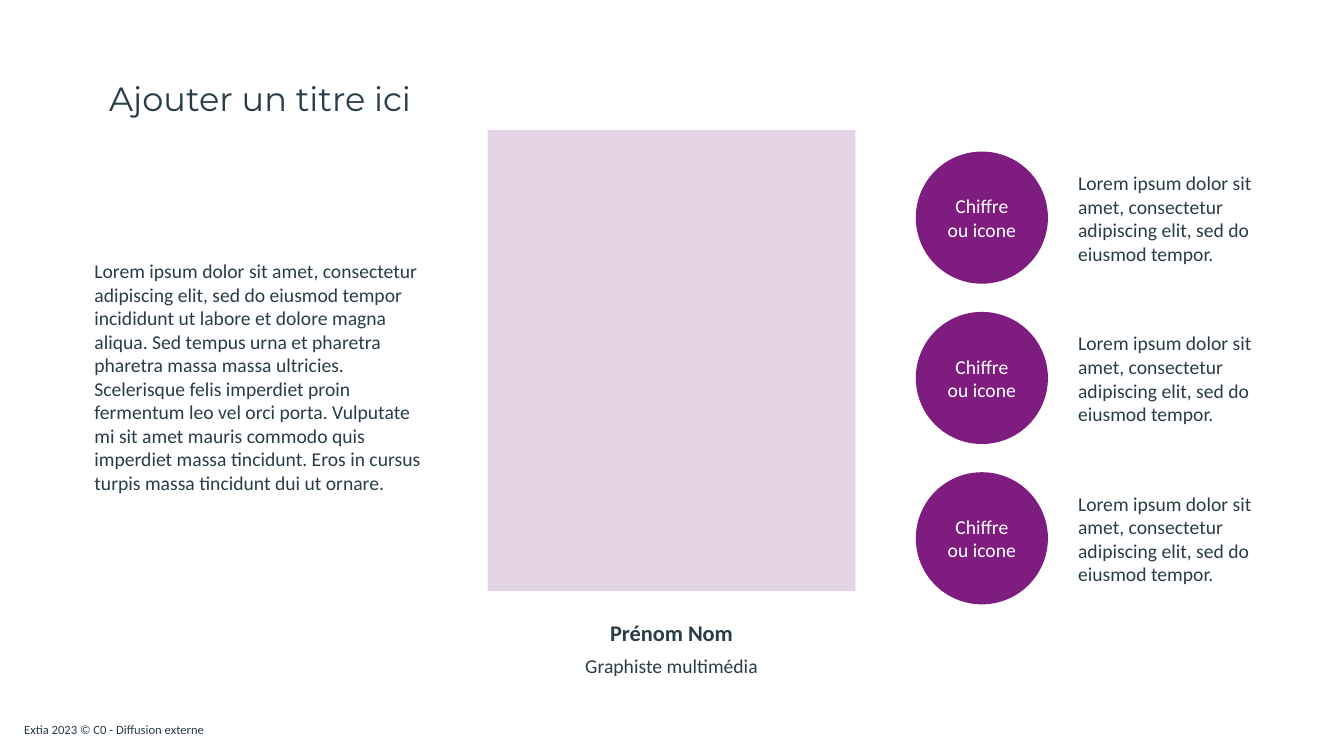
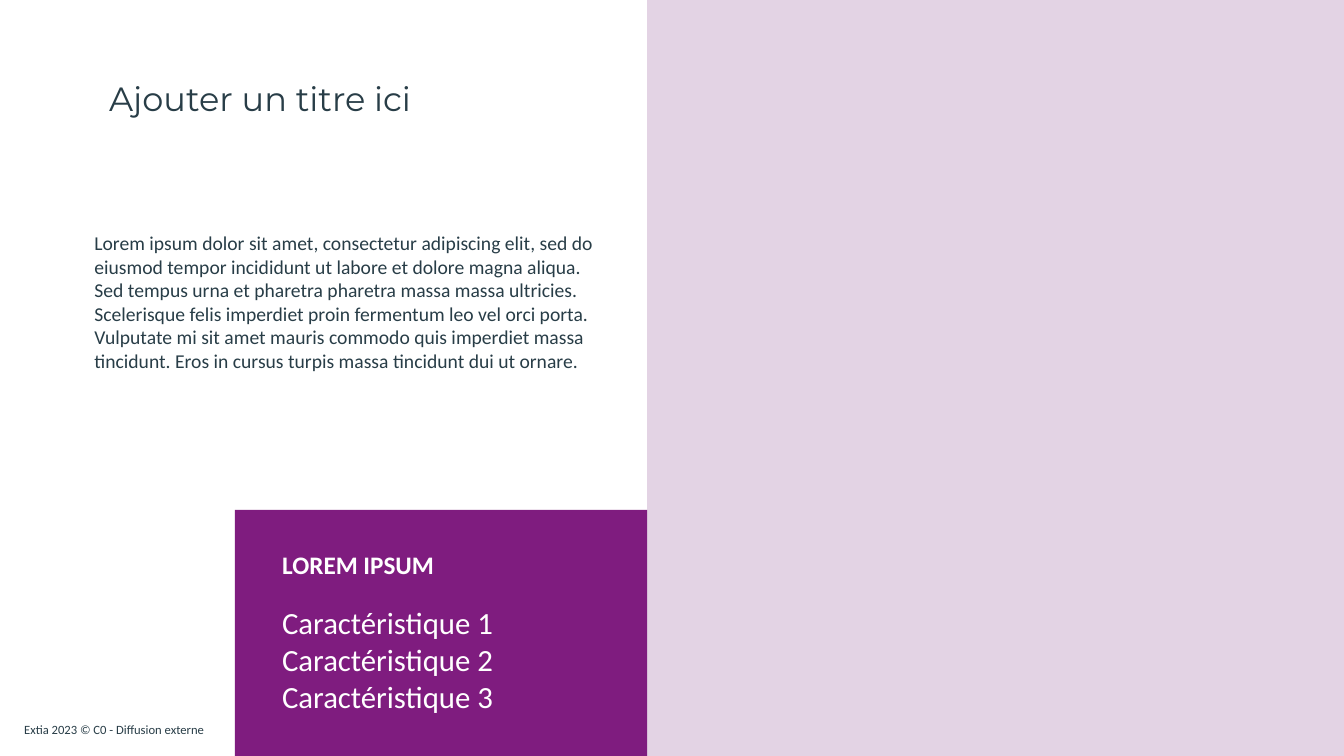
from pptx import Presentation
from pptx.dml.color import RGBColor
from pptx.enum.shapes import MSO_SHAPE as Preset
from pptx.enum.text import MSO_ANCHOR as Anchor, MSO_AUTO_SIZE as AutoSize, PP_ALIGN as Align
from pptx.util import Cm, Pt

COLORS = {"ink": "283D47", "purple": "7F1C7F", "lilac": "E3D3E4", "white": "FFFFFF"}
TITLE_FONT, BODY_FONT = "Montserrat", "Calibri"
SLIDE_WIDTH, SLIDE_HEIGHT = 33.87, 19.05
TITLE = "Ajouter un titre ici"
FOOTER = "Extia 2023 © C0 - Diffusion externe"
SHORT_TEXT = "Lorem ipsum dolor sit amet, consectetur adipiscing elit, sed do eiusmod tempor."
LONG_TEXT = (
    "Lorem ipsum dolor sit amet, consectetur adipiscing elit, sed do eiusmod tempor "
    "incididunt ut labore et dolore magna aliqua. Sed tempus urna et pharetra pharetra "
    "massa massa ultricies. Scelerisque felis imperdiet proin fermentum leo vel orci porta. "
    "Vulputate mi sit amet mauris commodo quis imperdiet massa tincidunt. Eros in cursus "
    "turpis massa tincidunt dui ut ornare."
)


class Deck:
    """Shared style and the slide being built; lengths are in centimetres."""

    def __init__(self):
        self.presentation = Presentation()
        self.presentation.slide_width = Cm(SLIDE_WIDTH)
        self.presentation.slide_height = Cm(SLIDE_HEIGHT)
        self.slide = None

    def add_slide(self, title):
        layout = self.presentation.slide_layouts.get_by_name("Title Only")
        self.slide = self.presentation.slides.add_slide(layout)
        shape = self.slide.shapes.title
        shape.left, shape.top, shape.width, shape.height = Cm(2.62), Cm(1.96), Cm(16.69), Cm(1.12)
        self.fill_text(shape.text_frame, title, size=24, font=TITLE_FONT, spacing=0.9,
                       insets=(0.13, 0.13))
        self.text(FOOTER, 0.36, 18.06, 5.56, 0.64, size=9, anchor=Anchor.MIDDLE)

    def fill_text(self, frame, text, size=14, color="ink", font=BODY_FONT, bold=False,
                  align=Align.LEFT, anchor=Anchor.TOP, spacing=1.0, insets=(0.25, 0.13)):
        frame.text = text
        frame.word_wrap = True
        frame.auto_size = AutoSize.NONE
        frame.vertical_anchor = anchor
        frame.margin_left = frame.margin_right = Cm(insets[0])
        frame.margin_top = frame.margin_bottom = Cm(insets[1])
        for paragraph in frame.paragraphs:
            paragraph.alignment = align
            paragraph.line_spacing = spacing
            for run in paragraph.runs:
                run.font.name = font
                run.font.size = Pt(size)
                run.font.bold = bold
                run.font.color.rgb = RGBColor.from_string(COLORS[color])

    def text(self, text, left, top, width, height, **style):
        box = self.slide.shapes.add_textbox(Cm(left), Cm(top), Cm(width), Cm(height))
        self.fill_text(box.text_frame, text, **style)
        return box.text_frame

    def shape(self, preset, fill, left, top, width, height):
        shape = self.slide.shapes.add_shape(preset, Cm(left), Cm(top), Cm(width), Cm(height))
        shape.shadow.inherit = False
        shape.fill.solid()
        shape.fill.fore_color.rgb = RGBColor.from_string(COLORS[fill])
        shape.line.fill.background()
        return shape

    def key_figure(self, label, text, left, top, diameter=3.33):
        circle = self.shape(Preset.OVAL, "purple", left, top, diameter, diameter)
        self.fill_text(circle.text_frame, label, color="white", align=Align.CENTER,
                       anchor=Anchor.MIDDLE, insets=(0, 0))
        self.text(text, left + diameter + 0.51, top + 0.36, 5.64, 2.64)


def build_profile(deck):
    deck.add_slide(TITLE)
    deck.text(LONG_TEXT, 2.13, 6.4, 8.81, 6.25)

    # Portrait area and caption
    left, width = 12.29, 9.27
    deck.shape(Preset.RECTANGLE, "lilac", left, 3.28, width, 11.61)
    caption = {"align": Align.CENTER, "anchor": Anchor.MIDDLE, "spacing": 1.5}
    deck.text("Prénom Nom", left, 15.19, width, 1.17, size=16, bold=True, **caption)
    deck.text("Graphiste multimédia", left, 16.08, width, 1.07, **caption)

    # Column of key figures
    for row in range(3):
        deck.key_figure("Chiffre\nou icone", SHORT_TEXT, 23.08, 3.82 + row * 4.04)


def build_features(deck):
    deck.add_slide(TITLE)
    deck.text(LONG_TEXT, 2.13, 5.69, 13.26, 3.84)

    # Right half and feature panel against its edge
    edge, panel_left, panel_top = 16.31, 5.92, 12.85
    deck.shape(Preset.RECTANGLE, "lilac", edge, 0, SLIDE_WIDTH - edge, SLIDE_HEIGHT)
    deck.shape(Preset.RECTANGLE, "purple", panel_left, panel_top,
               edge - panel_left, SLIDE_HEIGHT - panel_top)

    # Panel heading and features
    features = [f"Caractéristique {number}" for number in range(1, 4)]
    frame = deck.text("\n".join(["LOREM IPSUM", *features]), 6.86, 13.72, 9.45, 4.45,
                      size=22, color="white")
    heading = frame.paragraphs[0].runs[0]
    heading.font.size = Pt(18)
    heading.font.bold = True
    frame.paragraphs[1].space_before = Pt(17)


def main():
    deck = Deck()
    build_profile(deck)
    build_features(deck)
    deck.presentation.save("out.pptx")


if __name__ == "__main__":
    main()
